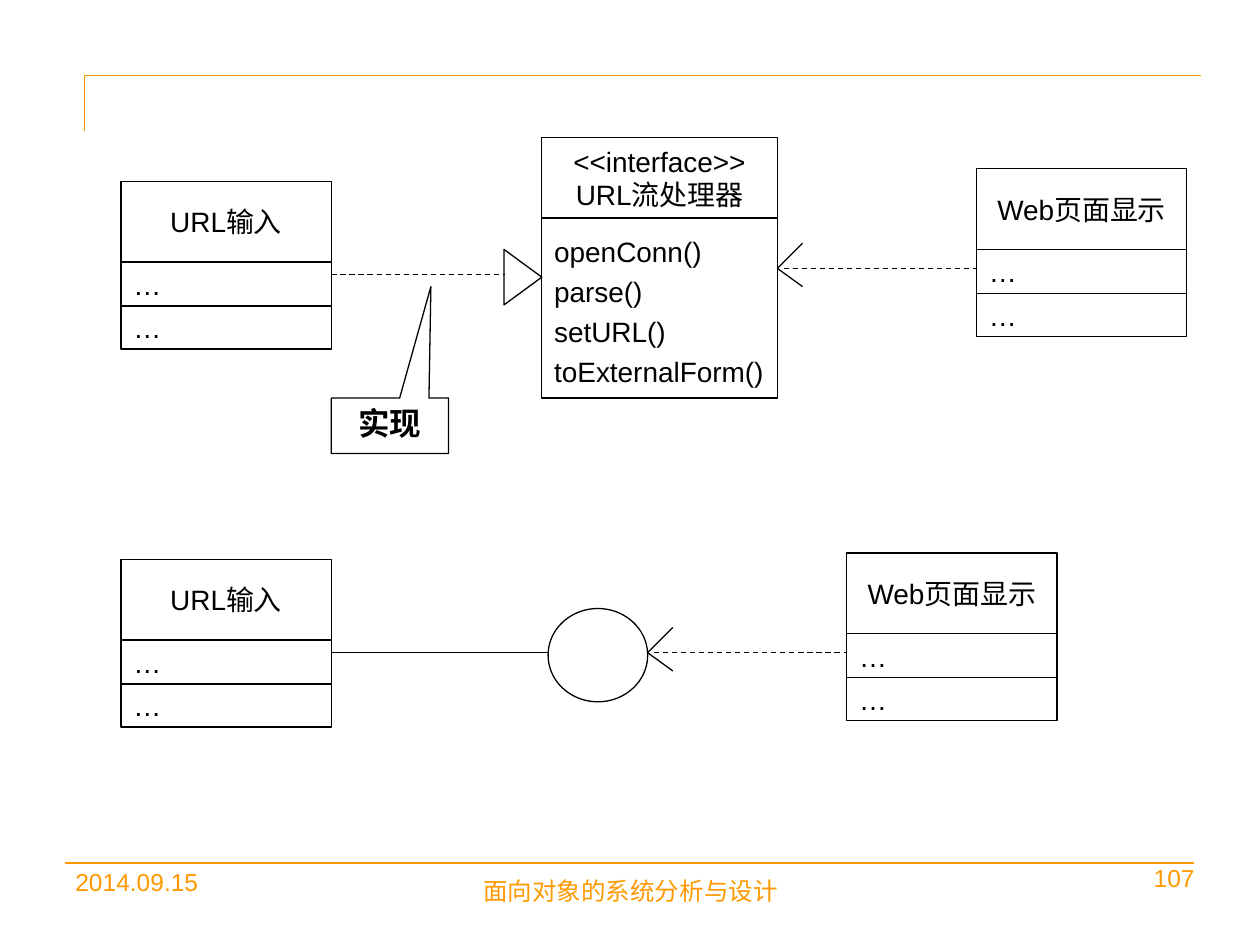
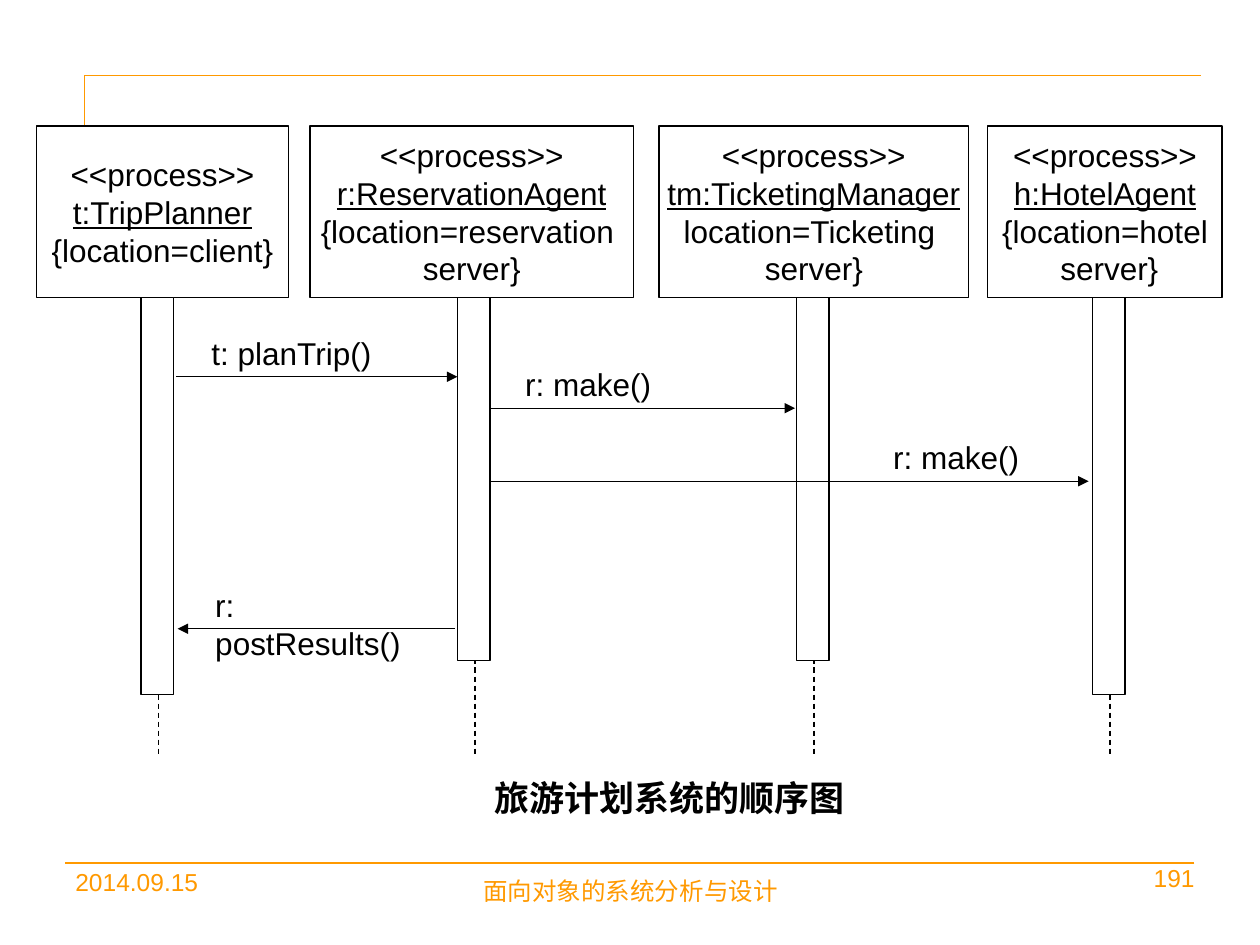
import pptx
import pptx.util
import pptx.dml.color
import pptx.enum.dml
import pptx.enum.shapes
import pptx.enum.text
import pptx.oxml.ns
from lxml import etree

COLORS = {"accent": "FF9900", "ink": "000000", "paper": "FFFFFF"}
FONT = "Arial"
WIDTH, HEIGHT = pptx.util.Inches(10), pptx.util.Inches(7.5)
CELL = WIDTH // 100  # the slide is a grid of 100 columns by 75 rows

MSO = pptx.enum.shapes.MSO_SHAPE
ALIGN = pptx.enum.text.PP_ALIGN
ANCHOR = pptx.enum.text.MSO_ANCHOR

CLASS_W = 16.7
TITLE_H, ATTRS_H, METHODS_H = 6.4, 3.5, 3.4
CLASS_AXIS = TITLE_H + 1  # row of a class box where its connector meets it


def grid(*cells):
    return [round(c * CELL) for c in cells]


def rgb(name):
    return pptx.dml.color.RGBColor.from_string(COLORS[name])


def style_line(line, color):
    line.color.rgb = rgb(color)
    line.width = pptx.util.Pt(0.75)


def write(sp, lines, size, color="ink", align=ALIGN.LEFT, anchor=ANCHOR.TOP,
          wrap=True, bold=False, underlined=None, spacing=None):
    """Fill a shape with one paragraph per line; underlined is a line index."""
    tf = sp.text_frame
    tf.word_wrap = wrap
    tf.vertical_anchor = anchor
    for i, text in enumerate(lines):
        p = tf.add_paragraph() if i else tf.paragraphs[0]
        p.alignment = align
        if spacing:
            p.line_spacing = spacing
        r = p.add_run()
        r.text = text
        r.font.name = FONT
        r.font.size = pptx.util.Pt(size)
        r.font.color.rgb = rgb(color)
        r.font.bold = bold
        r.font.underline = i == underlined


def add_text(s, box, text, size, **style):
    write(s.shapes.add_textbox(*grid(*box)), [text], size, **style)


def add_outline(s, kind, box, fill=None):
    sp = s.shapes.add_shape(kind, *grid(*box))
    sp.shadow.inherit = False
    if fill:
        sp.fill.solid()
        sp.fill.fore_color.rgb = rgb(fill)
    else:
        sp.fill.background()
    style_line(sp.line, "ink")
    return sp


def add_line(s, x1, y1, x2, y2, color="ink", dashed=False, arrow=False):
    cx = s.shapes.add_connector(pptx.enum.shapes.MSO_CONNECTOR.STRAIGHT,
                                *grid(x1, y1, x2, y2))
    style_line(cx.line, color)
    if dashed:
        cx.line.dash_style = pptx.enum.dml.MSO_LINE.DASH
    if arrow:
        etree.SubElement(cx.line._get_or_add_ln(),
                         pptx.oxml.ns.qn("a:tailEnd"), type="triangle")
    etree.SubElement(cx._element.spPr, pptx.oxml.ns.qn("a:effectLst"))


def add_frame(s, number):
    """Corner rule, footer rule and footer texts found on every slide."""
    for ends in ((95.3, 6, 6.7, 6), (6.7, 10.4, 6.7, 6),
                 (94.8, 68.5, 5.2, 68.5)):
        add_line(s, *ends, color="accent")
    for box, text, align in (
            ((87.4, 68, 8.4, 3.4), str(number), ALIGN.RIGHT),
            ((5, 68.3, 23.3, 5.2), "2014.09.15", ALIGN.LEFT),
            ((34.2, 69, 31.7, 4.5), "面向对象的系统分析与设计", ALIGN.CENTER)):
        add_text(s, box, text, 14, color="accent", align=align)


def add_compartments(s, x, y, w, parts):
    """Stack UML compartments; parts holds (height, lines, spacing)."""
    for i, (h, lines, spacing) in enumerate(parts):
        sp = add_outline(s, MSO.RECTANGLE, (x, y, w, h))
        write(sp, lines, 16, align=ALIGN.LEFT if i else ALIGN.CENTER,
              anchor=ANCHOR.MIDDLE, wrap=False, spacing=spacing)
        y += h


def add_class(s, x, y, name):
    add_compartments(s, x, y, CLASS_W, (
        (TITLE_H, [name], None), (ATTRS_H, ["…"], None),
        (METHODS_H, ["…"], None)))


def add_dependency(s, tip_x, y, end_x):
    """Dashed line with an open arrowhead pointing left."""
    add_line(s, tip_x + 0.5, y, end_x, y, dashed=True)
    for dy in (-2, 1.45):
        add_line(s, tip_x, y, tip_x + 2, y + dy)


def add_expanded_interface(s, box):
    x, y, w, h = box
    face_x, face_w, web_x = x + 33.4, 18.7, x + w - CLASS_W
    input_y, web_y = y + 3.5, y + 2.5
    add_compartments(s, face_x, y, face_w, (
        (TITLE_H, ["<<interface>>", "URL流处理器"], None),
        (14.3, ["openConn()", "parse()", "setURL()", "toExternalForm()"], 1.2)))
    add_class(s, web_x, web_y, "Web页面显示")
    add_class(s, x, input_y, "URL输入")

    axis = input_y + CLASS_AXIS
    add_line(s, x + CLASS_W, axis, face_x - 2.9, axis, dashed=True)
    base, depth = 4.4, 3
    sp = add_outline(s, MSO.ISOSCELES_TRIANGLE,
                     (face_x - (depth + base) / 2, axis + 0.2 - depth / 2,
                      base, depth))
    sp.rotation = 90
    add_dependency(s, face_x + face_w, web_y + CLASS_AXIS + 0.5, web_x)

    note_w, note_h = 9.3, 4.4
    sp = add_outline(s, MSO.RECTANGULAR_CALLOUT,
                     (x + CLASS_W, y + h - note_h, note_w, note_h))
    sp.adjustments[0], sp.adjustments[1] = 0.35, -2.51
    write(sp, ["实现"], 18, align=ALIGN.CENTER, bold=True)


def add_lollipop_interface(s, box):
    x, y, w, h = box
    ball_x, ball_w, ball_h = x + 33.9, 7.9, 7.4
    web_x, input_y = x + w - CLASS_W, y + 0.5
    axis = input_y + CLASS_AXIS
    add_class(s, x, input_y, "URL输入")
    add_line(s, x + CLASS_W, axis, ball_x, axis)
    add_outline(s, MSO.OVAL, (ball_x, y + 4.4, ball_w, ball_h))
    add_class(s, web_x, y, "Web页面显示")
    add_dependency(s, ball_x + ball_w, axis, web_x)


def add_lifeline(s, box, axis, bar_h, lines):
    """Process head in the box's top, activation bar and dashed lifeline."""
    x, y, w, h = box
    head_h, bar_w = 13.6, 2.6
    add_line(s, axis, y + head_h, axis, y + h, dashed=True)
    sp = add_outline(s, MSO.RECTANGLE, (x, y, w, head_h), "paper")
    write(sp, ["<<process>>"] + lines, 18, align=ALIGN.CENTER,
          anchor=ANCHOR.MIDDLE, wrap=False, underlined=1)
    add_outline(s, MSO.RECTANGLE,
                (axis - 1.4, y + head_h, bar_w, bar_h), "paper")


def add_message(s, start, end, y, label_x, label, label_h=4):
    add_line(s, start, y, end, y, arrow=True)
    add_text(s, (label_x, y - 3.9, 18.9, label_h), label, 18)


def add_sequence(s, box):
    x, y, w, h = box
    long_bar, short_bar = 31.5, 28.8
    for left, width, axis, bar_h, lines in (
            (0, 20, 9.7, long_bar, ["t:TripPlanner", "{location=client}"]),
            (21.7, 25.7, 34.8, short_bar,
             ["r:ReservationAgent", "{location=reservation ", "server}"]),
            (49.4, 24.6, 61.7, short_bar,
             ["tm:TicketingManager", "location=Ticketing ", "server}"]),
            (75.5, 18.6, 85.2, long_bar,
             ["h:HotelAgent", "{location=hotel", " server}"])):
        add_lifeline(s, (x + left, y, width, h), x + axis, bar_h, lines)
    for start, end, row, label_x, label, label_h in (
            (11.1, 33.4, 19.9, 12.9, "t: planTrip()", 4),
            (36, 60.2, 22.4, 37.8, "r: make()", 4),
            (36, 83.5, 28.2, 67, "r: make()", 4),
            (33.2, 11.2, 39.9, 13.2, "r: postResults()", 7)):
        add_message(s, x + start, x + end, y + row, x + label_x, label, label_h)


def build_interface_slide(s):
    add_frame(s, 107)
    add_expanded_interface(s, (9.6, 10.9, 84.6, 25.1))
    add_lollipop_interface(s, (9.6, 43.9, 74.3, 13.7))


def build_sequence_slide(s):
    add_frame(s, 191)
    add_sequence(s, (2.9, 10, 94.1, 49.9))
    add_text(s, (34.2, 61.1, 37.9, 4.4), "旅游计划系统的顺序图", 20,
             align=ALIGN.CENTER, bold=True)


def main():
    prs = pptx.Presentation()
    prs.slide_width, prs.slide_height = WIDTH, HEIGHT
    for build in (build_interface_slide, build_sequence_slide):
        build(prs.slides.add_slide(prs.slide_layouts[6]))
    prs.save("out.pptx")


if __name__ == "__main__":
    main()
